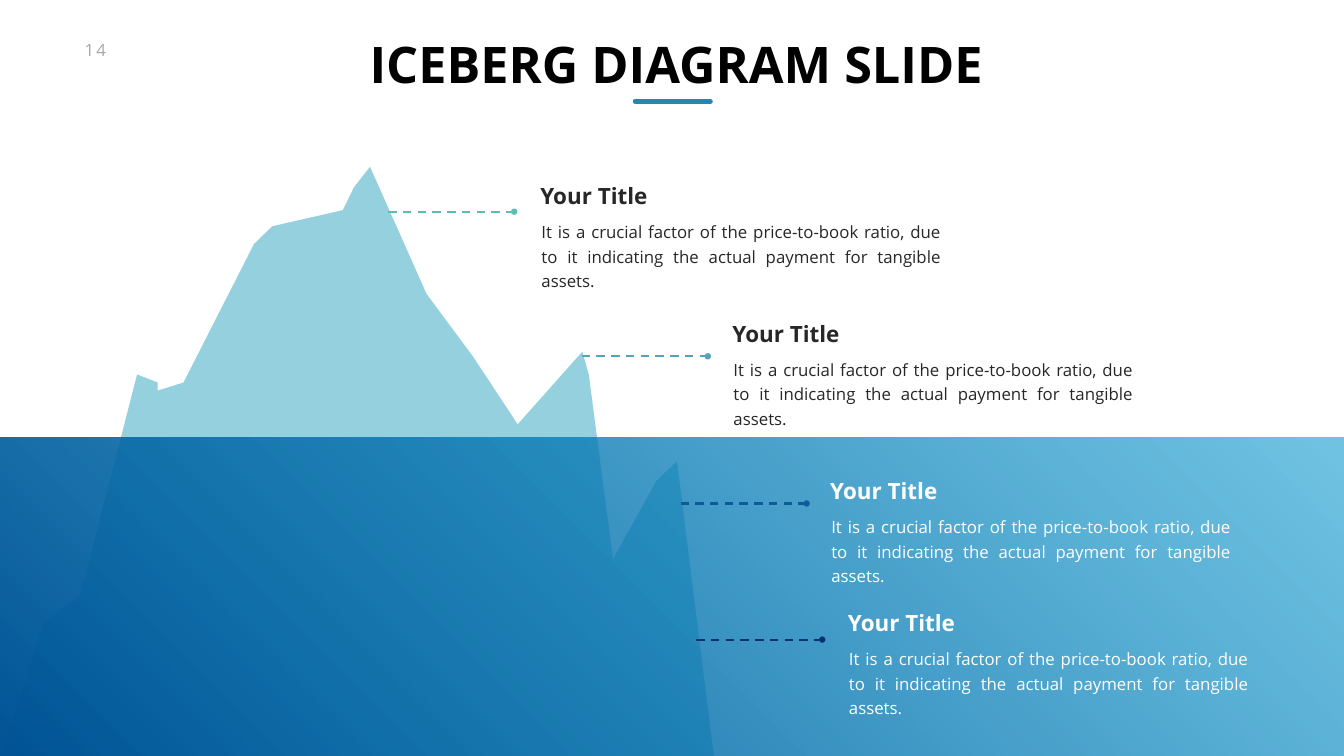
from lxml.etree import SubElement
from pptx import Presentation
from pptx.dml.color import RGBColor
from pptx.enum.dml import MSO_LINE_DASH_STYLE as Dash
from pptx.enum.shapes import MSO_CONNECTOR as Connector, MSO_SHAPE as Shape
from pptx.enum.text import MSO_ANCHOR as Anchor, MSO_AUTO_SIZE as AutoSize, PP_ALIGN as Align
from pptx.oxml.ns import qn
from pptx.util import Inches, Pt

# Colours
BLACK = RGBColor(0x00, 0x00, 0x00)
WHITE = RGBColor(0xFF, 0xFF, 0xFF)
INK = RGBColor(0x27, 0x27, 0x27)
GREY = RGBColor(0xA6, 0xA6, 0xA6)
ACCENT = RGBColor(0x25, 0x85, 0xB3)
ICE = RGBColor(0x95, 0xD0, 0xDE)
DEEP_SEA = RGBColor(0x00, 0x54, 0x96)
SHALLOW_SEA = RGBColor(0x0D, 0x99, 0xCE)
MINT = RGBColor(0x5C, 0xBE, 0xB2)
TEAL = RGBColor(0x56, 0xA2, 0xBD)
BLUE = RGBColor(0x10, 0x59, 0x9B)
NAVY = RGBColor(0x00, 0x31, 0x75)

# Measures in inches
SLIDE_W, SLIDE_H = 26.66, 15
WATERLINE = 8.68
LEADER_LENGTH = 2.5
HEADING_H = 0.64
BODY_OUTDENT = 0.12

ICEBERG = [
    (0.03, 15), (0.86, 12.38), (1.6, 11.8), (2.72, 7.43), (3.13, 7.59),
    (3.13, 7.75), (3.64, 7.59), (5.04, 4.84), (5.4, 4.49), (6.8, 4.17),
    (7.02, 3.72), (7.34, 3.31), (8.46, 5.83), (9.38, 7.07), (10.27, 8.42),
    (11.55, 6.98), (11.68, 7.43), (12.16, 11.1), (13.02, 9.54), (13.43, 9.15),
    (14.16, 15),
]

HEADING = "Your Title"
BODY = ("It is a crucial factor of the price-to-book ratio, due to it "
        "indicating the actual payment for tangible assets.")

# Leader start, heading corner, leader colour, text colour
CALLOUTS = [
    ((7.7, 4.2), (10.62, 3.56), MINT, INK),
    ((11.54, 7.07), (14.43, 6.29), TEAL, INK),
    ((13.5, 9.99), (16.37, 9.41), BLUE, WHITE),
    ((13.81, 12.69), (16.72, 12.03), NAVY, WHITE),
]

# Text formats
PAGE_NUMBER = {"font": {"size": Pt(24), "color": GREY}, "tracking": 3}
TITLE = {
    "font": {"size": Pt(72), "bold": True, "color": BLACK},
    "frame": {"margin_left": Inches(0.1), "margin_right": 0,
              "margin_top": 0, "margin_bottom": 0},
    "paragraph": {"alignment": Align.CENTER},
}
HEADING_STYLE = {
    "font": {"size": Pt(32), "bold": True},
    "frame": {"vertical_anchor": Anchor.MIDDLE},
}
BODY_STYLE = {
    "font": {"size": Pt(24)},
    "frame": {"word_wrap": True,
              "margin_left": Inches(0.24), "margin_right": Inches(0.24),
              "margin_top": Inches(0.12), "margin_bottom": Inches(0.12)},
    "paragraph": {"alignment": Align.JUSTIFY, "line_spacing": Pt(35),
                  "space_before": Pt(4.8)},
}


def apply(target, values):
    for name, value in values.items():
        setattr(target, name, value)


class Canvas:
    """Draws styled elements on the current slide."""

    font_name = "Open Sans"

    def __init__(self, slide):
        self.slide = slide
        self.shapes = slide.shapes

    def text(self, wording, box, style, color=None):
        frame = self.shapes.add_textbox(*map(Inches, box)).text_frame
        apply(frame, {"word_wrap": False, "auto_size": AutoSize.SHAPE_TO_FIT_TEXT,
                      **style.get("frame", {})})
        paragraph = frame.paragraphs[0]
        apply(paragraph, style.get("paragraph", {}))
        run = paragraph.add_run()
        run.text = wording
        font = dict(style["font"])
        run.font.color.rgb = color or font.pop("color")
        apply(run.font, {"name": self.font_name, **font})
        if "tracking" in style:
            run.font._element.set("spc", str(style["tracking"] * 100))

    def line(self, start, length, color, width):
        x, y = start
        connector = self.shapes.add_connector(
            Connector.STRAIGHT, *map(Inches, (x, y, x + length, y)))
        connector.line.color.rgb = color
        connector.line.width = Pt(width)
        SubElement(connector._element.spPr, qn("a:effectLst"))
        return connector

    def underline(self, start, length, color):
        rule = self.line(start, length, color, 7)
        rule.get_or_add_ln().set("cap", "rnd")

    def leader(self, start, color):
        leader = self.line(start, LEADER_LENGTH, color, 3)
        leader.line.dash_style = Dash.DASH
        SubElement(leader.get_or_add_ln(), qn("a:tailEnd"), type="oval")

    def outline(self, points, color):
        corners = [(Inches(x), Inches(y)) for x, y in points]
        builder = self.shapes.build_freeform(*corners[0])
        builder.add_line_segments(corners[1:], close=True)
        outline = builder.convert_to_shape()
        outline.shadow.inherit = False
        outline.fill.solid()
        outline.fill.fore_color.rgb = color
        outline.line.fill.background()

    def gradient_box(self, box, start_color, end_color, end_opacity, angle):
        panel = self.shapes.add_shape(Shape.RECTANGLE, *map(Inches, box))
        panel.shadow.inherit = False
        panel.line.fill.background()
        panel.fill.gradient()
        panel.fill.gradient_angle = angle
        stops = panel.fill.gradient_stops
        for stop, color in zip(stops, (start_color, end_color)):
            stop.color.rgb = color
        end = stops[1]._gs.find(qn("a:srgbClr"))
        SubElement(end, qn("a:alpha"), val=str(end_opacity * 1000))

    def callout(self, leader_start, corner, leader_color, text_color):
        x, y = corner
        self.leader(leader_start, leader_color)
        self.text(HEADING, (x, y, 2.35, HEADING_H), HEADING_STYLE, text_color)
        self.text(BODY, (x - BODY_OUTDENT, y + HEADING_H, 8.4, 1.19),
                  BODY_STYLE, text_color)


def main():
    deck = Presentation()
    apply(deck, {"slide_width": Inches(SLIDE_W), "slide_height": Inches(SLIDE_H)})
    canvas = Canvas(deck.slides.add_slide(deck.slide_layouts[6]))

    # Header
    canvas.text("14", (1.58, 0.74, 0.75, 0.5), PAGE_NUMBER)
    canvas.underline((12.6, 2.01), 1.49, ACCENT)
    canvas.text("ICEBERG DIAGRAM SLIDE", (7.17, 0.65, 12.39, 1.21), TITLE)

    # Iceberg and the sea in front of it
    canvas.outline(ICEBERG, ICE)
    canvas.gradient_box((0, WATERLINE, SLIDE_W, SLIDE_H - WATERLINE),
                        DEEP_SEA, SHALLOW_SEA, end_opacity=59, angle=45)

    # Callouts
    for callout in CALLOUTS:
        canvas.callout(*callout)

    deck.save("out.pptx")


if __name__ == "__main__":
    main()
